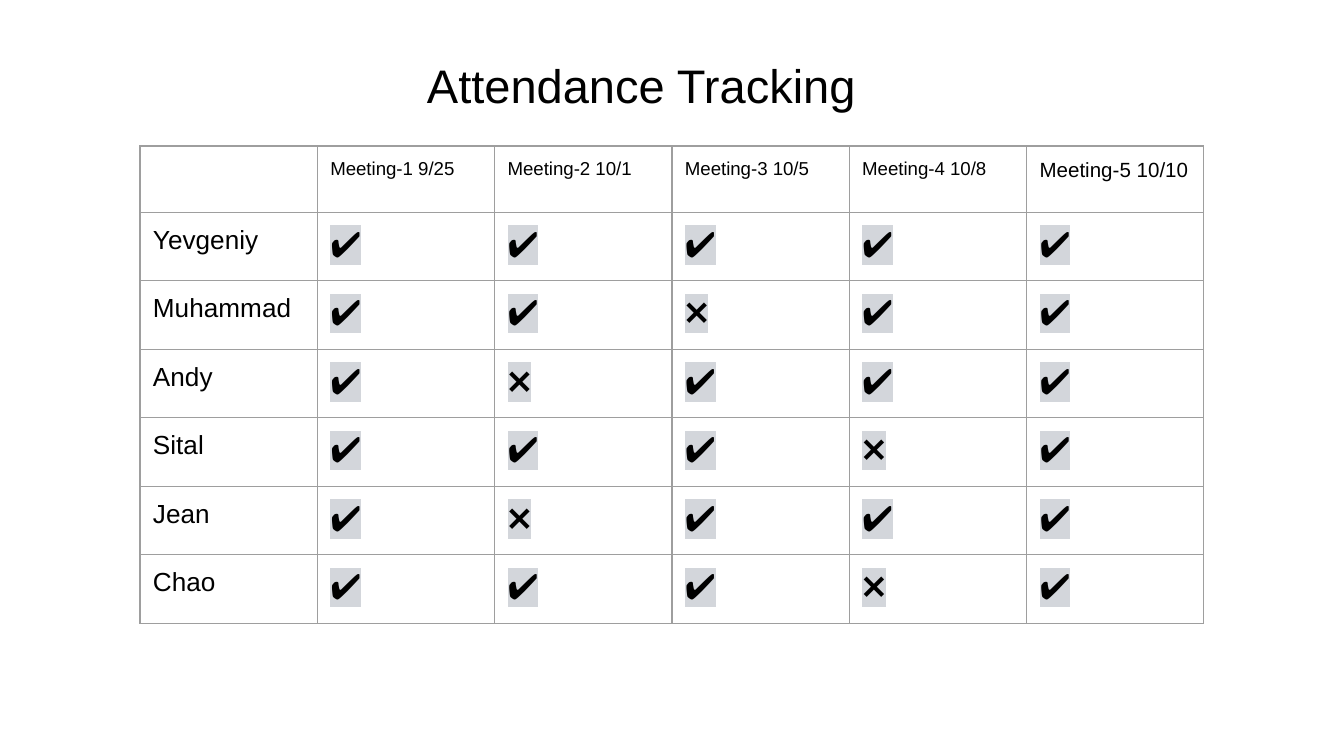
import pptx
import pptx.dml.color
import pptx.enum.text
import pptx.oxml
import pptx.oxml.ns
import pptx.util

SCALE = 914400 / 134.4
INSET = 13
YES, NO = "✔️", "❌"
HEADS = ["", "Meeting-1 9/25", "Meeting-2 10/1", "Meeting-3 10/5",
         "Meeting-4 10/8", "Meeting-5 10/10"]
MISSED = {"Yevgeniy": [], "Muhammad": [3], "Andy": [2],
          "Sital": [4], "Jean": [2], "Chao": [4]}


def px(count):
    """Turn pixels into EMU."""
    return pptx.util.Emu(round(count * SCALE))


def color(code):
    """Turn a hex string into a colour."""
    return pptx.dml.color.RGBColor.from_string(code)


def node(tag, inner=""):
    """Build a DrawingML element from its tag text and content."""
    space = pptx.oxml.ns.nsdecls("a")
    name = tag.split()[0]
    return pptx.oxml.parse_xml(f"<a:{tag} {space}>{inner}</a:{name}>")


def write(frame, text, size):
    """Fill a text frame with one paragraph."""
    para = frame.paragraphs[0]
    para.font.size = pptx.util.Pt(size)
    para.font.name = "Arial"
    para.font.color.rgb = color("000000")
    if text:
        para.add_run().text = text


def shade(frame, code):
    """Highlight the first run of a text frame."""
    props = frame.paragraphs[0].runs[0].font
    props.fill.solid()
    props.fill.fore_color.rgb = color("000000")
    mark = node("highlight", f'<a:srgbClr val="{code}"/>')
    frame.paragraphs[0].runs[0]._r.get_or_add_rPr().append(mark)


def pad(part):
    """Set equal insets on a cell or a text frame."""
    for side in ("left", "top", "right", "bottom"):
        setattr(part, f"margin_{side}", px(INSET))


def border(cell, code, width):
    """Draw all four edges of a cell."""
    line = f'<a:solidFill><a:srgbClr val="{code}"/></a:solidFill>'
    for side in "LRTB":
        edge = node(f'ln{side} w="{pptx.util.Pt(width)}"', line)
        cell._tc.get_or_add_tcPr().append(edge)


def title(slide, text, left, top, width, height):
    """Add the slide title."""
    frame = slide.shapes.add_textbox(
        px(left), px(top), px(width), px(height)).text_frame
    frame.word_wrap = True
    frame.vertical_anchor = pptx.enum.text.MSO_ANCHOR.BOTTOM
    pad(frame)
    write(frame, text, 25.2)


def size(row, col):
    """Give the text size for a place in the grid."""
    if row == 0:
        return {0: 18, 5: 11}.get(col, 10)
    return 19 if col else 14


def grid(slide, rows, left, top, width, height):
    """Add the attendance table."""
    table = slide.shapes.add_table(
        len(rows), len(rows[0]), px(left), px(top), px(width), px(height)).table
    table.first_row = table.horz_banding = False
    for row, texts in enumerate(rows):
        for col, text in enumerate(texts):
            cell = table.cell(row, col)
            pad(cell)
            border(cell, "9E9E9E", 0.75)
            cell.fill.background()
            write(cell.text_frame, text, size(row, col))
            if row and col:
                shade(cell.text_frame, "D3D6DB")


def main():
    """Build and save the slide."""
    deck = pptx.Presentation()
    deck.slide_width, deck.slide_height = px(1344), px(756)
    slide = deck.slides.add_slide(deck.slide_layouts[6])
    title(slide, "Attendance Tracking", 414, 42, 461, 84)
    rows = [HEADS]
    for name, gaps in MISSED.items():
        marks = [NO if col in gaps else YES for col in range(1, len(HEADS))]
        rows.append([name] + marks)
    grid(slide, rows, 140, 146, 1064, 392)
    deck.save("out.pptx")


if __name__ == "__main__":
    main()
